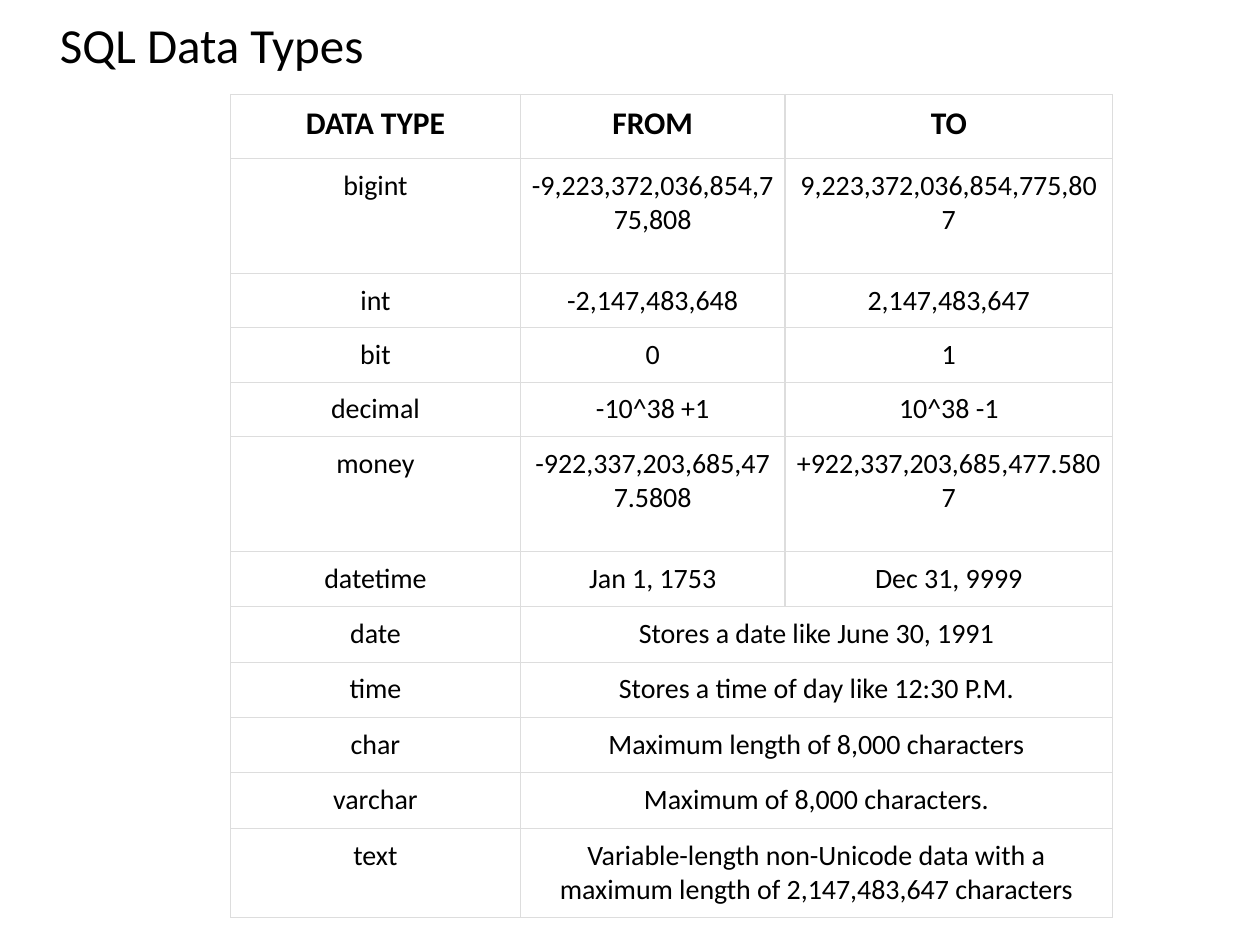
from lxml import etree
from pptx import Presentation
from pptx.dml.color import RGBColor
from pptx.enum.text import MSO_ANCHOR, PP_ALIGN
from pptx.oxml.ns import qn
from pptx.util import Inches, Pt

CENTER = PP_ALIGN.CENTER
MIDDLE = MSO_ANCHOR.MIDDLE
BLACK = RGBColor(0x00, 0x00, 0x00)
BORDER_GREY = RGBColor(0xDD, 0xDD, 0xDD)
FONT_NAME = "Calibri"

TITLE = "SQL Data Types"
HEADER_HEIGHT, TALL, NORMAL, MEDIUM, TWO_LINES = 0.51, 0.91, 0.42, 0.44, 0.71
ROWS = [
    (HEADER_HEIGHT, "DATA TYPE", "FROM", "TO"),
    (TALL, "bigint", "-9,223,372,036,854,775,808", "9,223,372,036,854,775,807"),
    (NORMAL, "int", "-2,147,483,648", "2,147,483,647"),
    (NORMAL, "bit", "0", "1"),
    (NORMAL, "decimal", "-10^38 +1", "10^38 -1"),
    (TALL, "money", "-922,337,203,685,477.5808", "+922,337,203,685,477.5807"),
    (MEDIUM, "datetime", "Jan 1, 1753", "Dec 31, 9999"),
    (MEDIUM, "date", "Stores a date like June 30, 1991"),
    (MEDIUM, "time", "Stores a time of day like 12:30 P.M."),
    (MEDIUM, "char", "Maximum length of 8,000 characters"),
    (MEDIUM, "varchar", "Maximum of 8,000 characters."),
    (TWO_LINES, "text", "Variable-length non-Unicode data with a "
                        "maximum length of 2,147,483,647 characters"),
]
COLUMN_WIDTHS = [2.3, 2.1, 2.6]
HEADER_FORMAT = {"size": Pt(18), "bold": True}
BODY_FORMAT = {"size": Pt(16), "bold": False}
TITLE_FORMAT = {"size": Pt(28), "bold": False}
CELL_MARGINS = {f"margin_{side}": Inches(0.08)
                for side in ("left", "right", "top", "bottom")}


def set_attributes(target, values):
    for name, value in values.items():
        setattr(target, name, value)


def write_text(frame, text, font_format):
    paragraph = frame.paragraphs[0]
    paragraph.alignment = CENTER
    run = paragraph.add_run()
    run.text = text
    set_attributes(run.font, {"name": FONT_NAME, **font_format})
    run.font.color.rgb = BLACK


def add_borders(cell):
    properties = cell._tc.get_or_add_tcPr()
    for position, tag in enumerate(("a:lnL", "a:lnR", "a:lnT", "a:lnB")):
        line = etree.Element(qn(tag), w=str(Pt(0.75)))
        fill = etree.SubElement(line, qn("a:solidFill"))
        etree.SubElement(fill, qn("a:srgbClr"), val=str(BORDER_GREY))
        properties.insert(position, line)


presentation = Presentation()
set_attributes(presentation, {"slide_width": Inches(10), "slide_height": Inches(7.5)})
slide = presentation.slides.add_slide(presentation.slide_layouts[5])

title = slide.shapes.title
set_attributes(title, {"left": Inches(0.02), "top": Inches(0.02),
                       "width": Inches(3.32), "height": Inches(0.65)})
title.text_frame.vertical_anchor = MIDDLE
write_text(title.text_frame, TITLE, TITLE_FORMAT)

table = slide.shapes.add_table(
    len(ROWS), len(COLUMN_WIDTHS), Inches(1.83), Inches(0.75),
    Inches(sum(COLUMN_WIDTHS)), Inches(sum(row[0] for row in ROWS))).table
set_attributes(table, {"first_row": False, "horz_banding": False})
for column, width in zip(table.columns, COLUMN_WIDTHS):
    column.width = Inches(width)

for row_index, (height, *texts) in enumerate(ROWS):
    table.rows[row_index].height = Inches(height)
    for column_index in range(len(COLUMN_WIDTHS)):
        cell = table.cell(row_index, column_index)
        set_attributes(cell, CELL_MARGINS)
        cell.fill.background()
        add_borders(cell)
    if len(texts) < len(COLUMN_WIDTHS):
        table.cell(row_index, 1).merge(table.cell(row_index, 2))
    font_format = BODY_FORMAT if row_index else HEADER_FORMAT
    for column_index, text in enumerate(texts):
        write_text(table.cell(row_index, column_index).text_frame, text, font_format)

presentation.save("out.pptx")
